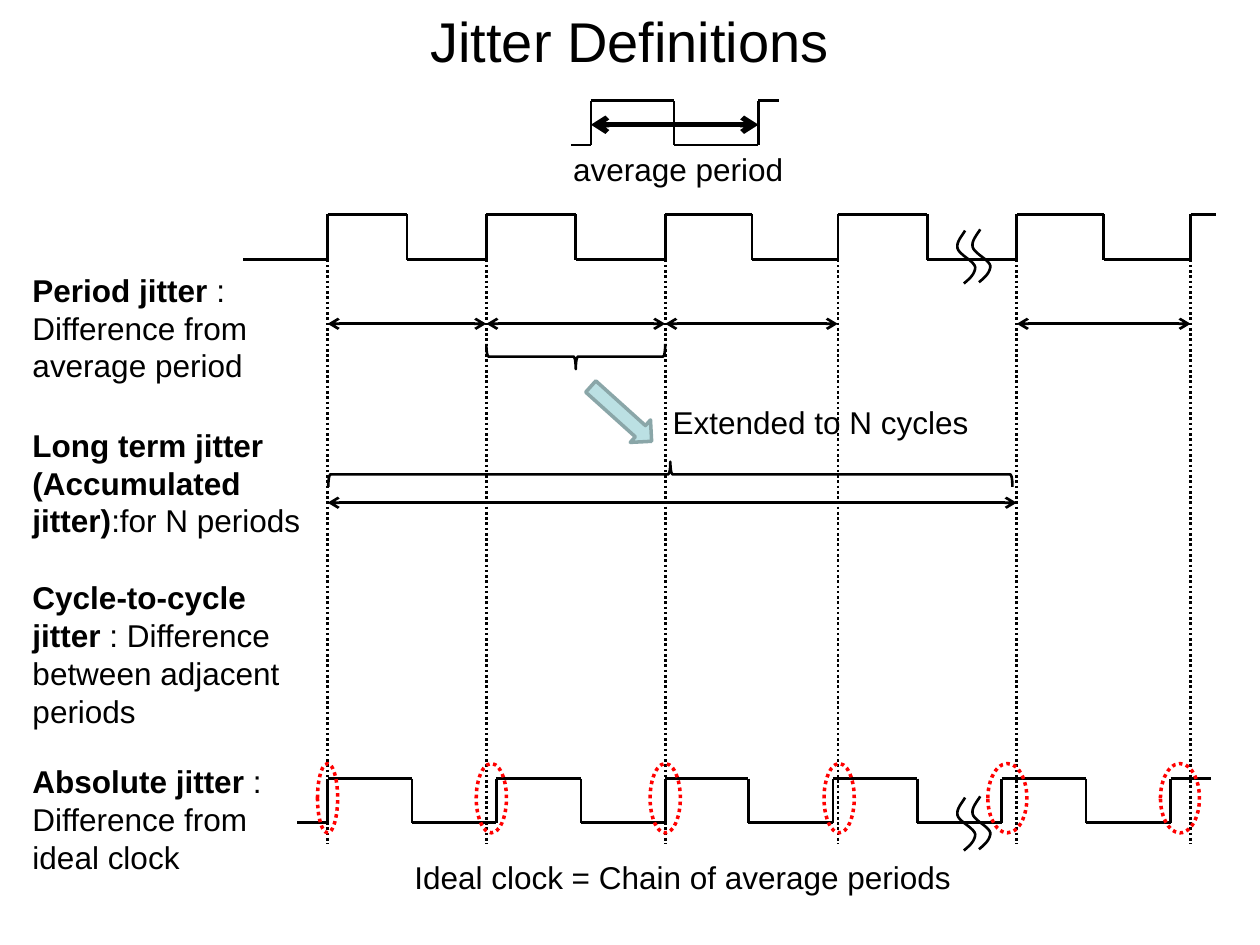
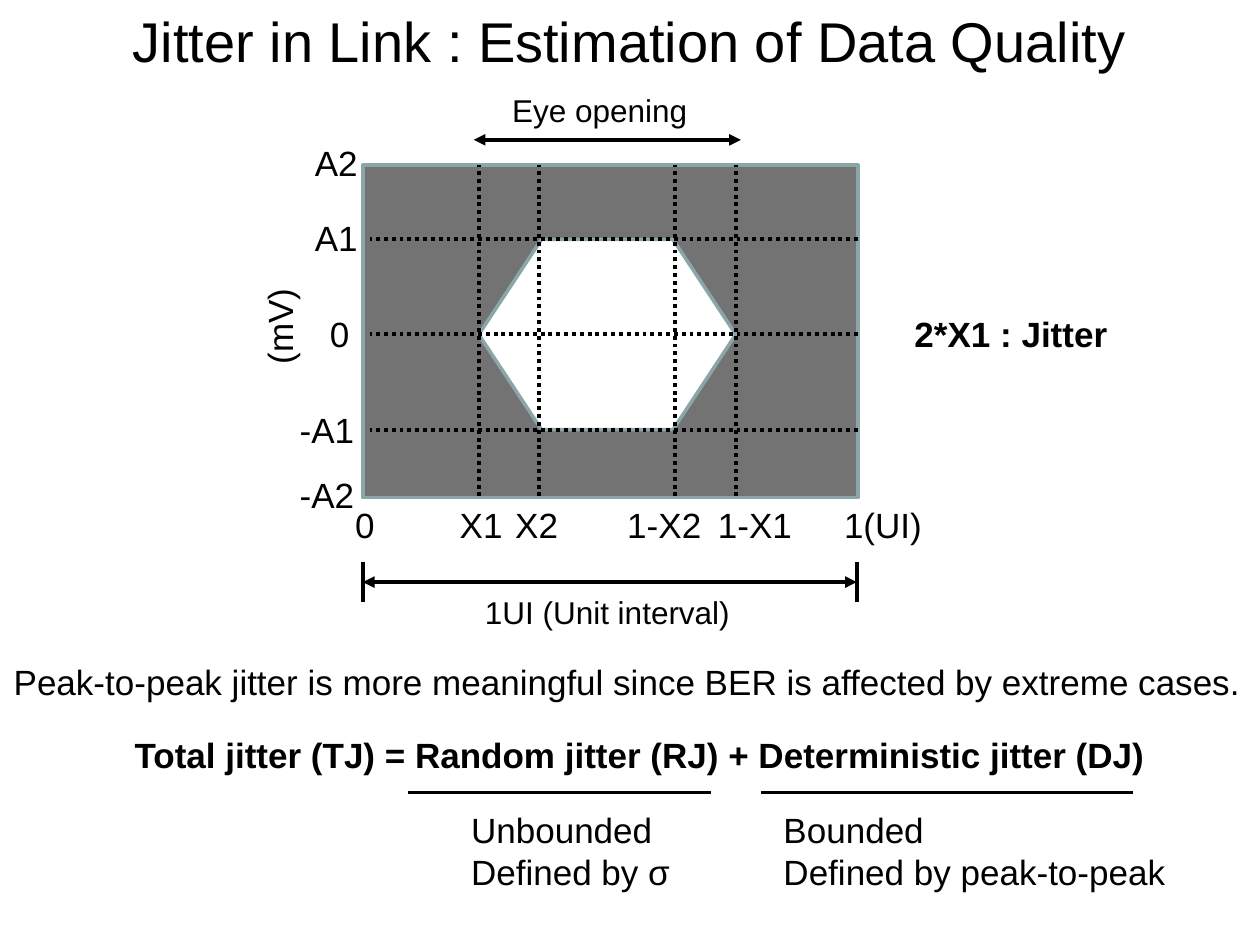
from dataclasses import dataclass
from itertools import pairwise
from typing import NamedTuple

from lxml import etree
from pptx import Presentation
from pptx import util as u
from pptx.dml.color import RGBColor
from pptx.enum import dml, shapes, text
from pptx.oxml import ns

EMU_PER_PX = 9144
FONT = "Arial"
BLACK = RGBColor(0x00, 0x00, 0x00)
WHITE = RGBColor(0xFF, 0xFF, 0xFF)
RED = RGBColor(0xFF, 0x00, 0x00)
GRAY = RGBColor(0x73, 0x73, 0x73)
PALE_TEAL = RGBColor(0xBB, 0xE0, 0xE3)
TEAL = RGBColor(0x8A, 0xA6, 0xA8)
DOTTED = dml.MSO_LINE.ROUND_DOT
LEFT = text.PP_ALIGN.LEFT
CENTER = text.PP_ALIGN.CENTER


class Area(NamedTuple):
    left: int
    top: int
    width: int
    height: int


class Span(NamedTuple):
    content: str
    bold: bool = False


class Point(NamedTuple):
    x: float
    y: float


@dataclass(frozen=True)
class Label:
    content: str
    area: Area
    size: int = 20
    bold: bool = False


@dataclass(frozen=True)
class Definition:
    area: Area
    paragraphs: list[list[Span]]


@dataclass(frozen=True)
class Clock:
    start: int
    rises: list[int]
    falls: list[int]
    end: int
    high: int
    low: int


def px(length: float) -> u.Emu:
    return u.Emu(round(length * EMU_PER_PX))


def write(frame, paragraphs, *, size=20, bold=False, align=LEFT, wrap=False,
          auto_size=text.MSO_AUTO_SIZE.SHAPE_TO_FIT_TEXT):
    frame.word_wrap = wrap
    frame.auto_size = auto_size
    frame.vertical_anchor = text.MSO_ANCHOR.TOP
    if isinstance(paragraphs, str):
        paragraphs = [[Span(line, bold)] for line in paragraphs.split("\n")]
    for index, spans in enumerate(paragraphs):
        para = frame.add_paragraph() if index else frame.paragraphs[0]
        para.alignment = align
        for part in spans:
            span = para.add_run()
            span.text = part.content
            span.font.name = FONT
            span.font.size = u.Pt(size)
            span.font.bold = part.bold
            span.font.color.rgb = BLACK


def add_text(page, area: Area, paragraphs, rotation: int = 0, **style):
    box = page.shapes.add_textbox(*map(px, area))
    box.rotation = rotation
    write(box.text_frame, paragraphs, **style)


def add_label(page, label: Label):
    add_text(page, label.area, label.content, size=label.size, bold=label.bold)


def add_page(deck, title: str):
    page = deck.slides.add_slide(deck.slide_layouts[5])
    box = page.shapes.title
    box.left, box.top, box.width, box.height = map(px, Area(0, 0, 1000, 64))
    write(box.text_frame, title, size=32, align=CENTER, wrap=True,
          auto_size=text.MSO_AUTO_SIZE.NONE)
    return page


def add_line(page, begin: Point, end: Point, weight: float = 1.5,
             dash=None, arrows: str = ""):
    line = page.shapes.add_connector(
        shapes.MSO_CONNECTOR.STRAIGHT, *map(px, (*begin, *end)))
    line.line.color.rgb = BLACK
    line.line.width = u.Pt(weight)
    if dash:
        line.line.dash_style = dash
    properties = line._element.spPr
    if arrows:
        outline = properties.find(ns.qn("a:ln"))
        for tip in ("a:headEnd", "a:tailEnd"):
            etree.SubElement(outline, ns.qn(tip), type=arrows)
    etree.SubElement(properties, ns.qn("a:effectLst"))


def add_span_arrow(page, left: int, right: int, y: int, weight=1.5, arrows="arrow"):
    add_line(page, Point(right, y), Point(left, y), weight, arrows=arrows)


def style_shape(shape, fill=None, line=BLACK, weight=2.0, dash=None):
    shape.shadow.inherit = False
    if fill is None:
        shape.fill.background()
    else:
        shape.fill.solid()
        shape.fill.fore_color.rgb = fill
    shape.line.color.rgb = line
    shape.line.width = u.Pt(weight)
    if dash:
        shape.line.dash_style = dash


def add_shape(page, kind, area: Area, rotation: int = 0, **style):
    shape = page.shapes.add_shape(kind, *map(px, area))
    shape.rotation = rotation
    style_shape(shape, **style)
    return shape


def add_clock(page, clock: Clock):
    corners = [Point(clock.start, clock.low)]
    for rise, fall in zip(clock.rises, clock.falls):
        corners += [Point(rise, clock.low), Point(rise, clock.high),
                    Point(fall, clock.high), Point(fall, clock.low)]
    last = clock.rises[-1]
    corners += [Point(last, clock.low), Point(last, clock.high),
                Point(clock.end, clock.high)]
    for begin, end in pairwise(corners):
        add_line(page, begin, end)


def bezier(a: Point, b: Point, c: Point, d: Point, steps: int = 10) -> list[Point]:
    points = []
    for step in range(1, steps + 1):
        t = step / steps
        weights = ((1 - t) ** 3, 3 * t * (1 - t) ** 2, 3 * t * t * (1 - t), t ** 3)
        points.append(Point(*(sum(w * v for w, v in zip(weights, axis))
                              for axis in zip(a, b, c, d))))
    return points


def add_break_mark(page, left: int, top: int):
    knots = [Point(left + x, top + y) for x, y in (
        (6, 0), (3, 5), (-1, 9), (0, 14), (1, 19),
        (13, 24), (14, 29), (14, 34), (10, 38), (5, 42))]
    builder = page.shapes.build_freeform(px(knots[0].x), px(knots[0].y))
    curve = [point for i in (0, 3, 6) for point in bezier(*knots[i:i + 4])]
    builder.add_line_segments([(px(p.x), px(p.y)) for p in curve], close=False)
    style_shape(builder.convert_to_shape(), weight=1.5)


MEASURED = Clock(193, [260, 386, 528, 665, 807, 945],
                 [323, 457, 597, 736, 876], 965, 170, 206)
IDEAL = Clock(236, [260, 394, 528, 661, 795, 929],
              [327, 461, 594, 728, 862], 961, 618, 653)
AVERAGE = Clock(453, [469, 602], [535], 618, 80, 115)

DEFINITIONS = [
    Definition(Area(16, 210, 197, 101),
               [[Span("Period jitter ", True), Span(": Difference from average period")]]),
    Definition(Area(16, 333, 236, 101),
               [[Span("Long term jitter", True)],
                [Span("(Accumulated jitter)", True), Span(":for N periods")]]),
    Definition(Area(16, 454, 217, 131),
               [[Span("Cycle-to-cycle jitter ", True),
                 Span(": Difference between adjacent periods")]]),
    Definition(Area(16, 600, 217, 101),
               [[Span("Absolute jitter ", True), Span(": Difference from ideal clock")]]),
]
CLOCK_LABELS = [
    Label("average period", Area(445, 114, 189, 40), 18),
    Label("Ideal clock = Chain of average periods", Area(319, 676, 450, 40), 18),
    Label("Extended to N cycles", Area(524, 315, 257, 40), 18),
]
EDGE_MARKS = [(252, 16), (378, 24), (516, 24), (654, 24), (784, 31), (921, 31)]

EYE_LABELS = [
    Label("Total jitter (TJ) = Random jitter (RJ) + Deterministic jitter (DJ)",
          Area(97, 577, 826, 44), bold=True),
    Label("Unbounded\nDefined by σ", Area(364, 637, 179, 77)),
    Label("Bounded\nDefined by peak-to-peak", Area(612, 637, 326, 77)),
    Label("Peak-to-peak jitter is more meaningful since BER is affected by extreme cases.",
          Area(1, 519, 1001, 44)),
    Label("1UI (Unit interval)", Area(375, 466, 216, 40), 18),
    Label("2*X1 : Jitter", Area(716, 243, 174, 44), bold=True),
]
AMPLITUDES = [("A2", 240, 107, 55), ("A1", 240, 167, 55), ("0", 252, 243, 36),
              ("-A1", 228, 319, 64), ("-A2", 228, 371, 64)]
TIMES = [("0", 272, 36), ("X1", 355, 55), ("X2", 399, 55),
         ("1-X2", 488, 80), ("1-X1", 560, 80), ("1(UI)", 660, 82)]
MASK = Area(288, 131, 393, 264)


def build_definitions(deck):
    page = add_page(deck, "Jitter Definitions")
    for clock in (IDEAL, MEASURED, AVERAGE):
        add_clock(page, clock)
    add_span_arrow(page, *AVERAGE.rises, 99, weight=3)

    periods = list(pairwise(MEASURED.rises))
    for left, right in periods[:3] + periods[4:]:
        add_span_arrow(page, left, right, 257)
    add_span_arrow(page, MEASURED.rises[0], MEASURED.rises[4], 399)
    for rise in MEASURED.rises:
        add_line(page, Point(rise, MEASURED.low), Point(rise, 670), dash=DOTTED)

    for definition in DEFINITIONS:
        add_text(page, definition.area, definition.paragraphs, size=18, wrap=True)
    for left, width in EDGE_MARKS:
        add_shape(page, shapes.MSO_SHAPE.OVAL, Area(left, 606, width, 55),
                  line=RED, dash=DOTTED)
    for top in (183, 633):
        add_break_mark(page, 760, top)
        add_break_mark(page, 772, top - 1)

    brace = shapes.MSO_SHAPE.LEFT_BRACE
    add_shape(page, brace, Area(447, 212, 20, 142), 270, weight=1.5)
    add_shape(page, brace, Area(522, 105, 20, 543), 90, weight=1.5)
    add_shape(page, shapes.MSO_SHAPE.DOWN_ARROW, Area(481, 296, 24, 65), 312,
              fill=PALE_TEAL, line=TEAL)
    for label in CLOCK_LABELS:
        add_label(page, label)


def build_eye(deck):
    page = add_page(deck, "Jitter in Link : Estimation of Data Quality")
    for label in EYE_LABELS:
        add_label(page, label)
    add_text(page, Area(384, 67, 184, 40), "Eye opening", size=18,
             align=CENTER, wrap=True)
    for left, right in ((324, 564), (604, 899)):
        add_line(page, Point(right, 629), Point(left, 629), 2.25)
    add_span_arrow(page, 288, 680, 462, 2.25, "triangle")
    add_span_arrow(page, 376, 588, 111, 2.25, "triangle")
    for x in (288, 680):
        add_line(page, Point(x, 478), Point(x, 446), 2.25)

    add_shape(page, shapes.MSO_SHAPE.RECTANGLE, MASK, fill=GRAY, line=TEAL)
    for content, left, top, width in AMPLITUDES:
        add_label(page, Label(content, Area(left, top, width, 44)))
    for content, left, width in TIMES:
        add_label(page, Label(content, Area(left, 395, width, 44)))
    add_text(page, Area(178, 237, 88, 44), "(mV)", 270, align=CENTER, wrap=True)

    eye = add_shape(page, shapes.MSO_SHAPE.HEXAGON, Area(380, 190, 204, 151),
                    fill=WHITE, line=TEAL)
    eye.adjustments[0] = 0.33
    for y in (190, 265, 341):
        add_line(page, Point(MASK.left + MASK.width, y), Point(294, y), 2.25, DOTTED)
    for x in (380, 428, 536, 584):
        add_line(page, Point(x, 394), Point(x, MASK.top), 2.25, DOTTED)


def main():
    deck = Presentation()
    deck.slide_width = px(1000)
    deck.slide_height = px(750)
    build_definitions(deck)
    build_eye(deck)
    deck.save("out.pptx")


if __name__ == "__main__":
    main()
